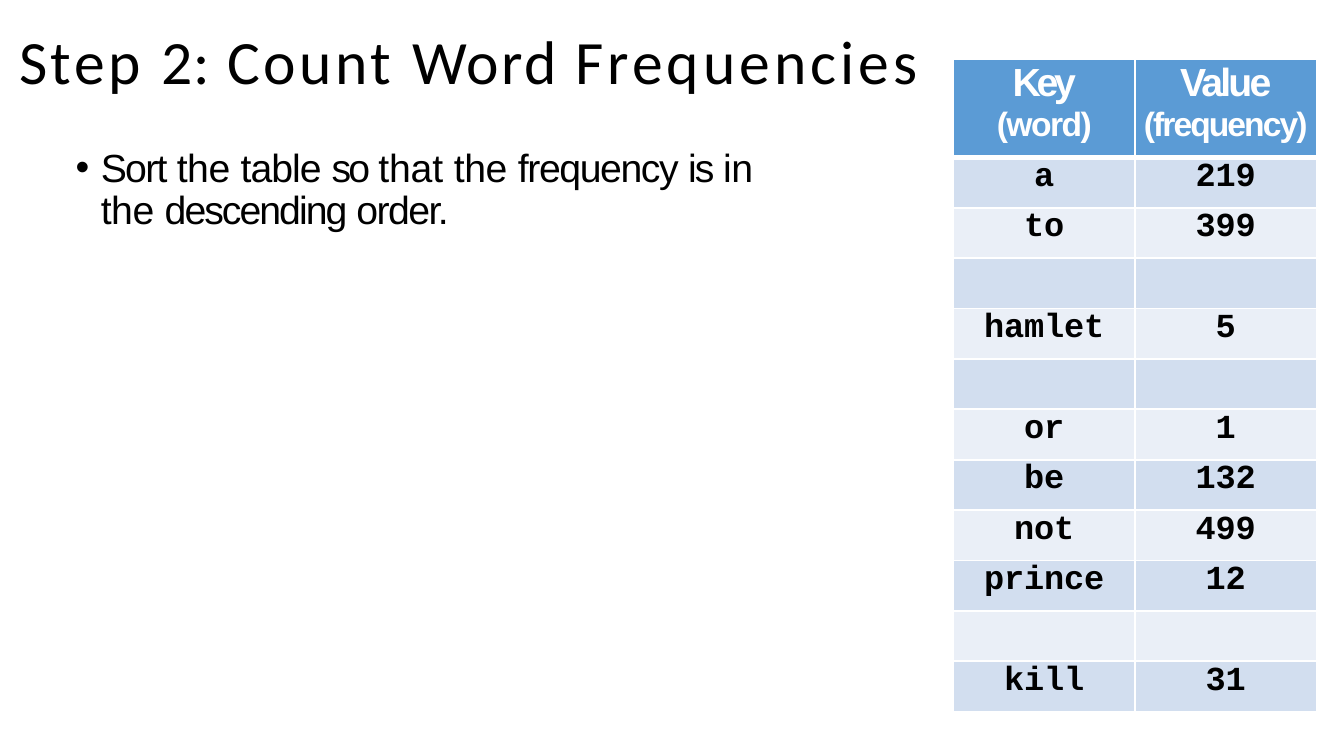
from lxml import etree
from pptx import Presentation
from pptx.dml.color import RGBColor
from pptx.enum.text import MSO_ANCHOR, PP_ALIGN
from pptx.oxml.ns import qn
from pptx.util import Pt

CENTER, LEFT = PP_ALIGN.CENTER, PP_ALIGN.LEFT
TOP, MIDDLE = MSO_ANCHOR.TOP, MSO_ANCHOR.MIDDLE

# Content: runs are (text, letter spacing in points)
TITLE = [("Step ", 2.4), ("2: ", 1), ("Count ", 2.5), ("Word ", 1.6),
         ("Frequencies", 2.9)]
BULLET = [("Sort ", -1.2), ("the ", -0.3), ("table ", -0.7), ("so ", -1.9),
          ("that ", -0.1), ("the ", -0.3), ("frequency ", -1), ("is ", -1.5),
          ("in ", -0.4), ("the ", -0.3), ("descending ", -1.4), ("order.", -1.1)]
HEADER = [(("Key", -3.1), ("(word)", -1.1)),
          (("Value", -2), ("(frequency)", -1.4))]
ROWS = [("a", "219"), ("to", "399"), ("", ""), ("hamlet", "5"), ("", ""),
        ("or", "1"), ("be", "132"), ("not", "499"), ("prince", "12"),
        ("", ""), ("kill", "31")]

THEME = {
    "text": "000000", "white": "FFFFFF", "header": "5B9BD5",
    "bands": ("D2DEEF", "EAEFF7"),
    "title_font": "Calibri", "body_font": "Arial", "code_font": "Courier New",
    "title": 44, "body": 28, "small": 24,
}

# Layout in points
SLIDE_W, SLIDE_H = 960, 540
TABLE_X, TABLE_Y, COL_W = 681.12, 42.48, 129.6
HEADER_H, ROW_H = 69.84, 36
THIN, THICK = 1.5, 4.25


def write(p, runs, *, font, size, color=THEME["text"], bold=False,
          align=LEFT, before=None, line=None):
    p.alignment = align
    if before is not None:
        p.space_before = Pt(before)
    if line is not None:
        p.line_spacing = Pt(line)
    for text, spacing in runs:
        r = p.add_run()
        r.text = text
        f = r.font
        f.name, f.size, f.bold = font, Pt(size), bold
        f.color.rgb = RGBColor.from_string(color)
        f._element.set("spc", str(round(spacing * 100)))


def add_box(s, x, y, w, h, inset_top, anchor):
    tf = s.shapes.add_textbox(Pt(x), Pt(y), Pt(w), Pt(h)).text_frame
    tf.word_wrap = True
    tf.vertical_anchor = anchor
    tf.margin_left = tf.margin_right = tf.margin_bottom = 0
    tf.margin_top = Pt(inset_top)
    return tf


def style_cell(cell, fill, top, bottom, inset_top):
    cell.margin_left = cell.margin_right = cell.margin_bottom = 0
    cell.margin_top = Pt(inset_top)
    tc_pr = cell._tc.get_or_add_tcPr()
    for side, width in (("L", THIN), ("R", THIN), ("T", top), ("B", bottom)):
        ln = etree.SubElement(tc_pr, qn("a:ln" + side), w=str(Pt(width)))
        solid = etree.SubElement(ln, qn("a:solidFill"))
        etree.SubElement(solid, qn("a:srgbClr"), val=THEME["white"])
    cell.fill.solid()
    cell.fill.fore_color.rgb = RGBColor.from_string(fill)


def add_bullet(p, indent, hanging):
    p_pr = p._p.get_or_add_pPr()
    p_pr.set("marL", str(Pt(indent)))
    p_pr.set("indent", str(-Pt(hanging)))
    etree.SubElement(p_pr, qn("a:buFont"), typeface=THEME["body_font"])
    etree.SubElement(p_pr, qn("a:buChar"), char="•")


prs = Presentation()
prs.slide_width, prs.slide_height = Pt(SLIDE_W), Pt(SLIDE_H)
s = prs.slides.add_slide(prs.slide_layouts[6])

# Frequency table
frame = s.shapes.add_table(
    len(ROWS) + 1, len(HEADER), Pt(TABLE_X), Pt(TABLE_Y),
    Pt(COL_W * len(HEADER)), Pt(HEADER_H + ROW_H * len(ROWS)))
table = frame.table
table.first_row = table.horz_banding = False
for col in table.columns:
    col.width = Pt(COL_W)
for i, row in enumerate(table.rows):
    row.height = Pt(ROW_H if i else HEADER_H)

for c, (name, note) in enumerate(HEADER):
    cell = table.cell(0, c)
    style_cell(cell, THEME["header"], THIN, THICK, 1.44)
    tf = cell.text_frame
    look = dict(font=THEME["body_font"], color=THEME["white"], bold=True,
                align=CENTER)
    write(tf.paragraphs[0], [name], size=THEME["body"], **look)
    write(tf.add_paragraph(), [note], size=THEME["small"], before=0.4, **look)

for i, values in enumerate(ROWS):
    for c, value in enumerate(values):
        cell = table.cell(i + 1, c)
        style_cell(cell, THEME["bands"][i % 2], THIN if i else THICK, THIN, 0.72)
        if value:
            write(cell.text_frame.paragraphs[0],
                  [(value, -0.1 if len(value) > 1 else 0)],
                  font=THEME["code_font"], size=THEME["small"], bold=True,
                  align=CENTER)

# Title
tf = add_box(s, 13.68, 15.12, 727.92, 54, 0.72, MIDDLE)
write(tf.paragraphs[0], TITLE, font=THEME["title_font"], size=THEME["title"])

# Instruction
tf = add_box(s, 53.28, 100.8, 520.56, 65.52, 5.04, TOP)
p = tf.paragraphs[0]
add_bullet(p, 18.72, 18)
write(p, BULLET, font=THEME["body_font"], size=THEME["body"], line=30)

prs.save("out.pptx")
